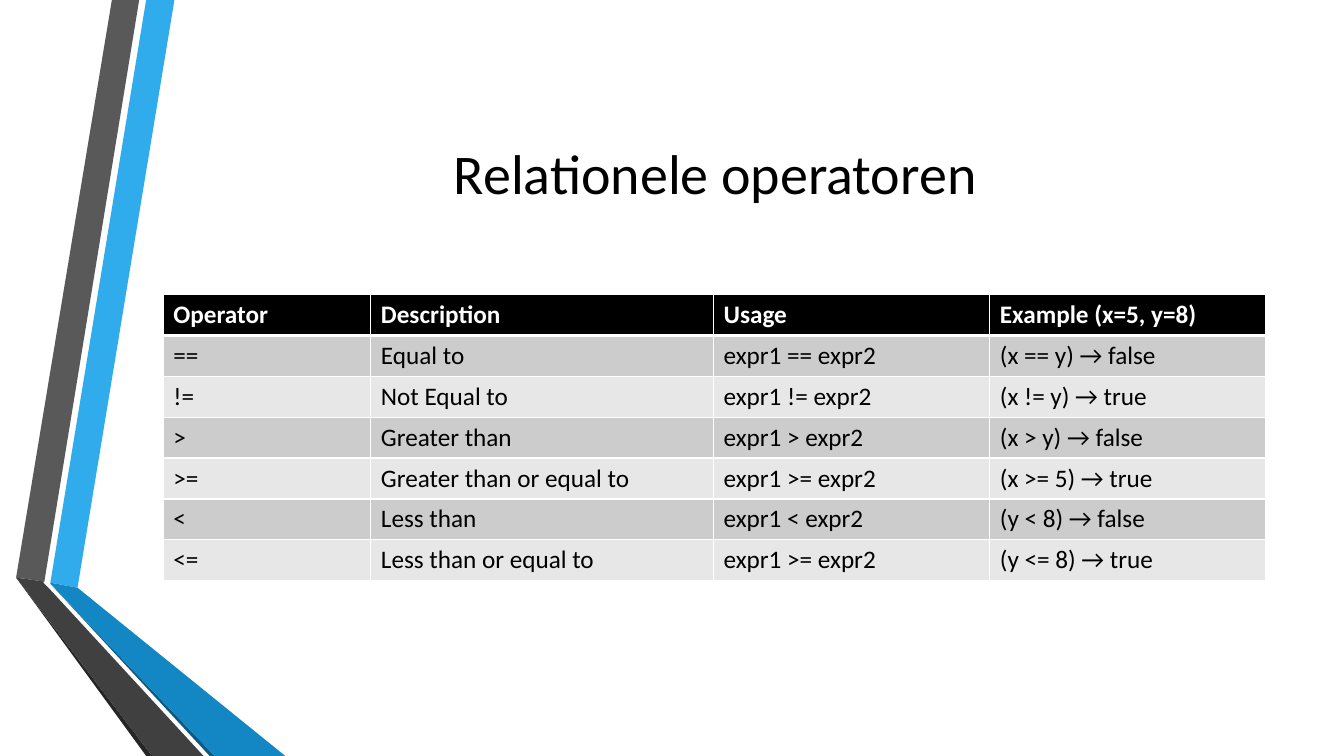
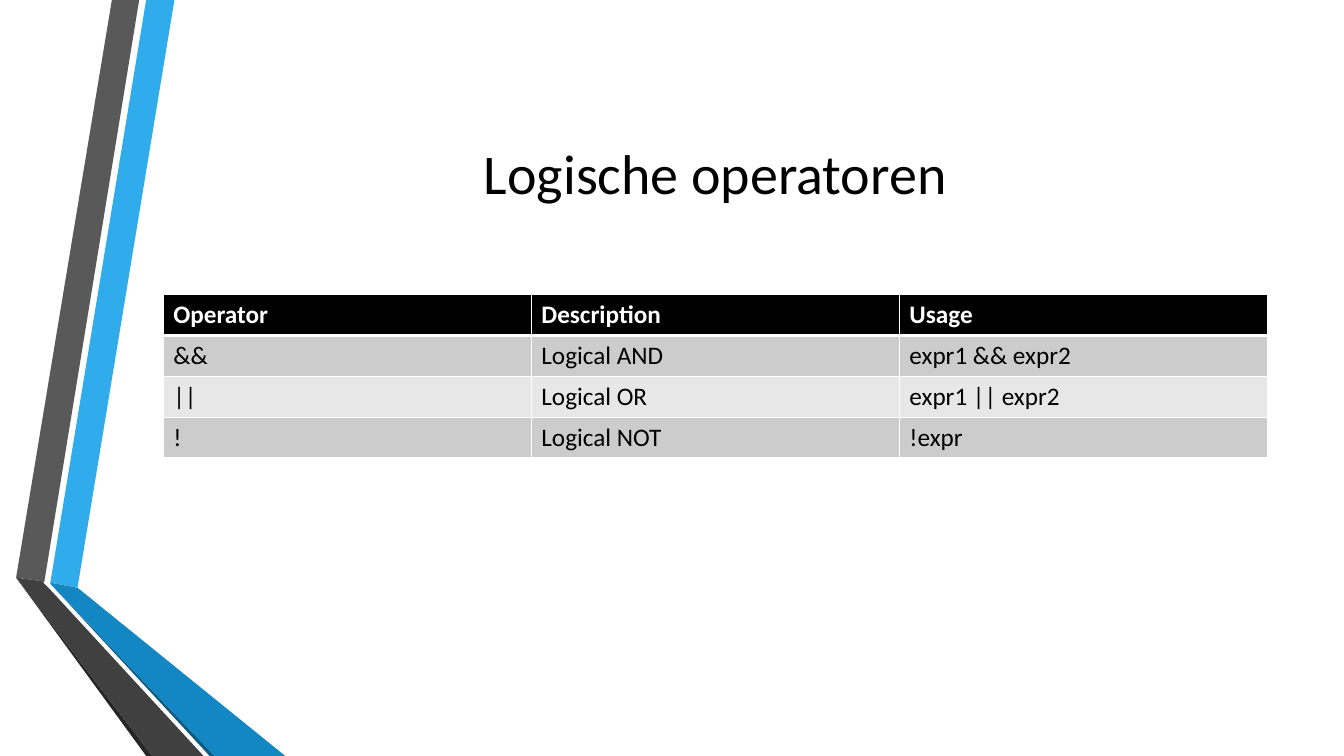
from lxml.etree import SubElement
from pptx import Presentation
from pptx.dml.color import RGBColor
from pptx.enum.text import MSO_ANCHOR, PP_ALIGN
from pptx.oxml.ns import qn
from pptx.util import Pt

FONT = "Calibri"
BLACK, WHITE = "000000", "FFFFFF"
ROW_FILLS = ("CCCCCC", "E7E7E7")
SLIDE_SIZE = (960, 540)
TITLE_BOX = (116.64, 54, 788.4, 137.5)
TABLE_LEFT, TABLE_TOP, ROW_HEIGHT = 116.64, 210.4, 29.2
THIN, THICK = 0.96, 3

RIBBONS = [
    ("30ACEC", [(36, 416.2), (55.4, 419.8), (124.6, 0), (104.4, 0)]),
    ("595959", [(99.4, 0), (79.9, 0), (11.5, 412.6), (31.7, 415.4)]),
    ("262626", [(11.5, 412.6), (104.4, 540), (108.7, 540)]),
    ("0C5A82", [(36, 416.9), (149.8, 540), (153.4, 540)]),
    ("1287C3", [(36, 416.9), (153.4, 540), (203.8, 540), (55.4, 419.8), (36, 416.2)]),
    ("404040", [(145.4, 540), (34.6, 419.8), (31, 416.2), (31.7, 415.4),
                (11.5, 412.6), (108.7, 540)]),
]

SLIDES = [
    ("Relationele operatoren", (148.3, 244.8, 197.3, 197.3), [
        ("Operator", "Description", "Usage", "Example (x=5, y=8)"),
        ("==", "Equal to", "expr1 == expr2", "(x == y) → false"),
        ("!=", "Not Equal to", "expr1 != expr2", "(x != y) → true"),
        (">", "Greater than", "expr1 > expr2", "(x > y) → false"),
        (">=", "Greater than or equal to", "expr1 >= expr2", "(x >= 5) → true"),
        ("<", "Less than", "expr1 < expr2", "(y < 8) → false"),
        ("<=", "Less than or equal to", "expr1 >= expr2", "(y <= 8) → true"),
    ]),
    ("Logische operatoren", (262.9,) * 3, [
        ("Operator", "Description", "Usage"),
        ("&&", "Logical AND", "expr1 && expr2"),
        ("||", "Logical OR", "expr1 || expr2"),
        ("!", "Logical NOT", "!expr"),
    ]),
]


def color(value):
    """Turn a hex string into a colour."""
    return RGBColor.from_string(value)


def style_text(paragraph, size, text_color, bold=False):
    """Set the font of a whole paragraph."""
    font = paragraph.font
    font.name, font.size, font.bold = FONT, Pt(size), bold
    font.color.rgb = color(text_color)


def add_ribbons(slide, layout):
    """Build the ribbons and move them behind the layout's placeholders."""
    for index, (fill, points) in enumerate(RIBBONS):
        start, *others = [(Pt(x), Pt(y)) for x, y in points]
        builder = slide.shapes.build_freeform(*start)
        builder.add_line_segments(others, close=True)
        ribbon = builder.convert_to_shape()
        ribbon.name = f"Ribbon {index + 1}"
        ribbon.shadow.inherit = False
        ribbon.fill.solid()
        ribbon.fill.fore_color.rgb = color(fill)
        ribbon.line.fill.background()
        ribbon.element.nvSpPr.cNvPr.set("id", str(101 + index))
        layout.shapes.element.insert(2 + index, ribbon.element)


def add_title(slide, text):
    """Fill, place and format the title placeholder."""
    title = slide.shapes.title
    title.left, title.top, title.width, title.height = map(Pt, TITLE_BOX)
    title.text_frame.text = text
    title.text_frame.vertical_anchor = MSO_ANCHOR.MIDDLE
    paragraph = title.text_frame.paragraphs[0]
    paragraph.alignment = PP_ALIGN.CENTER
    style_text(paragraph, 40, BLACK)


def add_borders(cell, top, bottom):
    """Draw white borders around a cell."""
    properties = cell._tc.get_or_add_tcPr()
    for side, width in (("L", THIN), ("R", THIN), ("T", top), ("B", bottom)):
        line = SubElement(properties, qn(f"a:ln{side}"), w=str(Pt(width)))
        fill = SubElement(line, qn("a:solidFill"))
        SubElement(fill, qn("a:srgbClr"), val=WHITE)


def add_operator_table(slide, widths, rows):
    """Add a table with a black header and alternating grey rows."""
    frame = slide.shapes.add_table(
        len(rows), len(widths), Pt(TABLE_LEFT), Pt(TABLE_TOP),
        Pt(sum(widths)), Pt(ROW_HEIGHT * len(rows)))
    table = frame.table
    table.horz_banding = False
    for column, width in zip(table.columns, widths):
        column.width = Pt(width)
    for row_index, row in enumerate(rows):
        header = row_index == 0
        for column_index, text in enumerate(row):
            cell = table.cell(row_index, column_index)
            cell.text = text
            style_text(cell.text_frame.paragraphs[0], 18,
                       WHITE if header else BLACK, header)
            add_borders(cell, THICK if row_index == 1 else THIN,
                        THICK if header else THIN)
            cell.fill.solid()
            cell.fill.fore_color.rgb = color(
                BLACK if header else ROW_FILLS[(row_index - 1) % 2])


def main():
    """Build and save the presentation."""
    presentation = Presentation()
    presentation.slide_width, presentation.slide_height = map(Pt, SLIDE_SIZE)
    layout = presentation.slide_layouts[5]
    for index, (title, widths, rows) in enumerate(SLIDES):
        slide = presentation.slides.add_slide(layout)
        if index == 0:
            add_ribbons(slide, layout)
        add_title(slide, title)
        add_operator_table(slide, widths, rows)
    presentation.save("out.pptx")


main()
